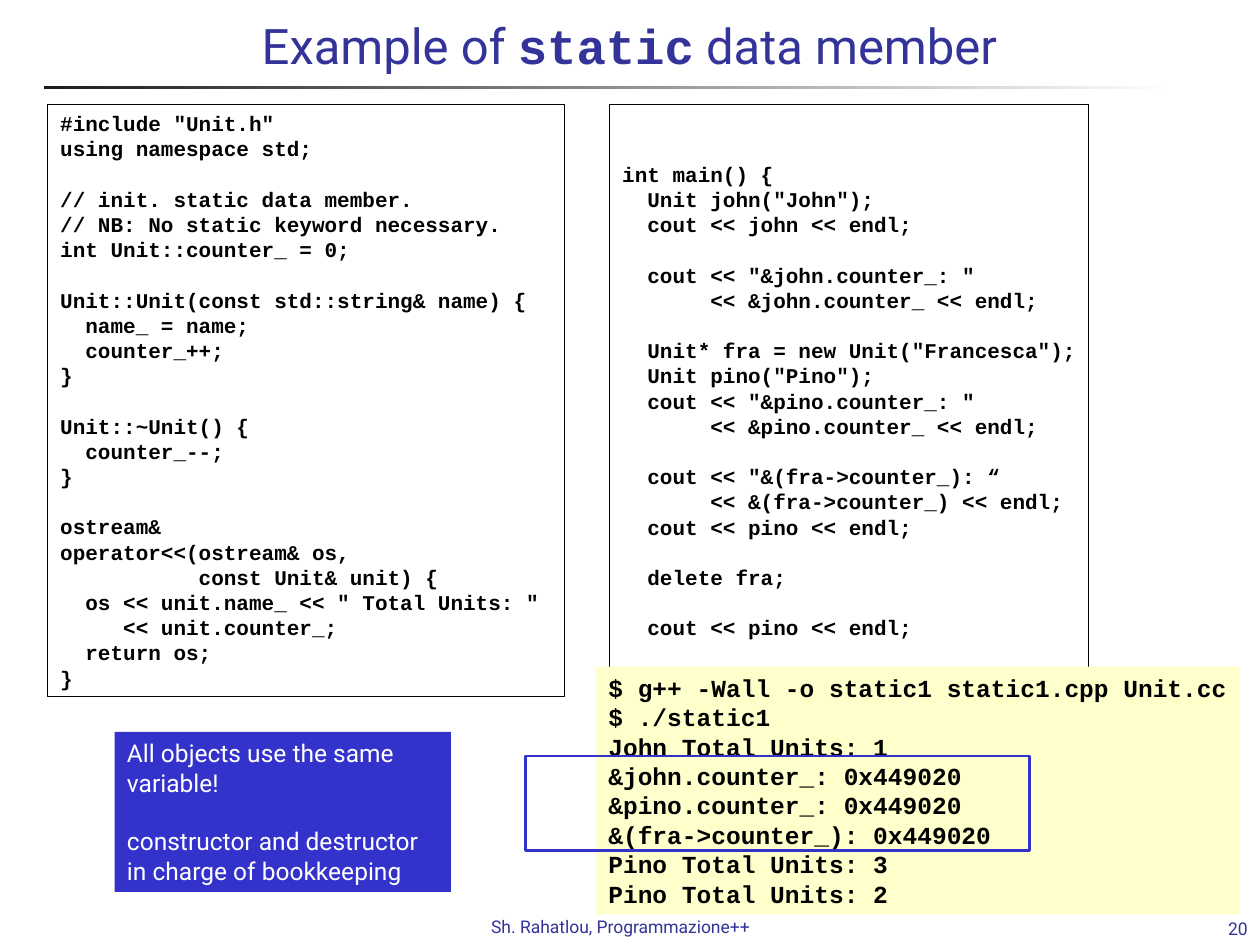
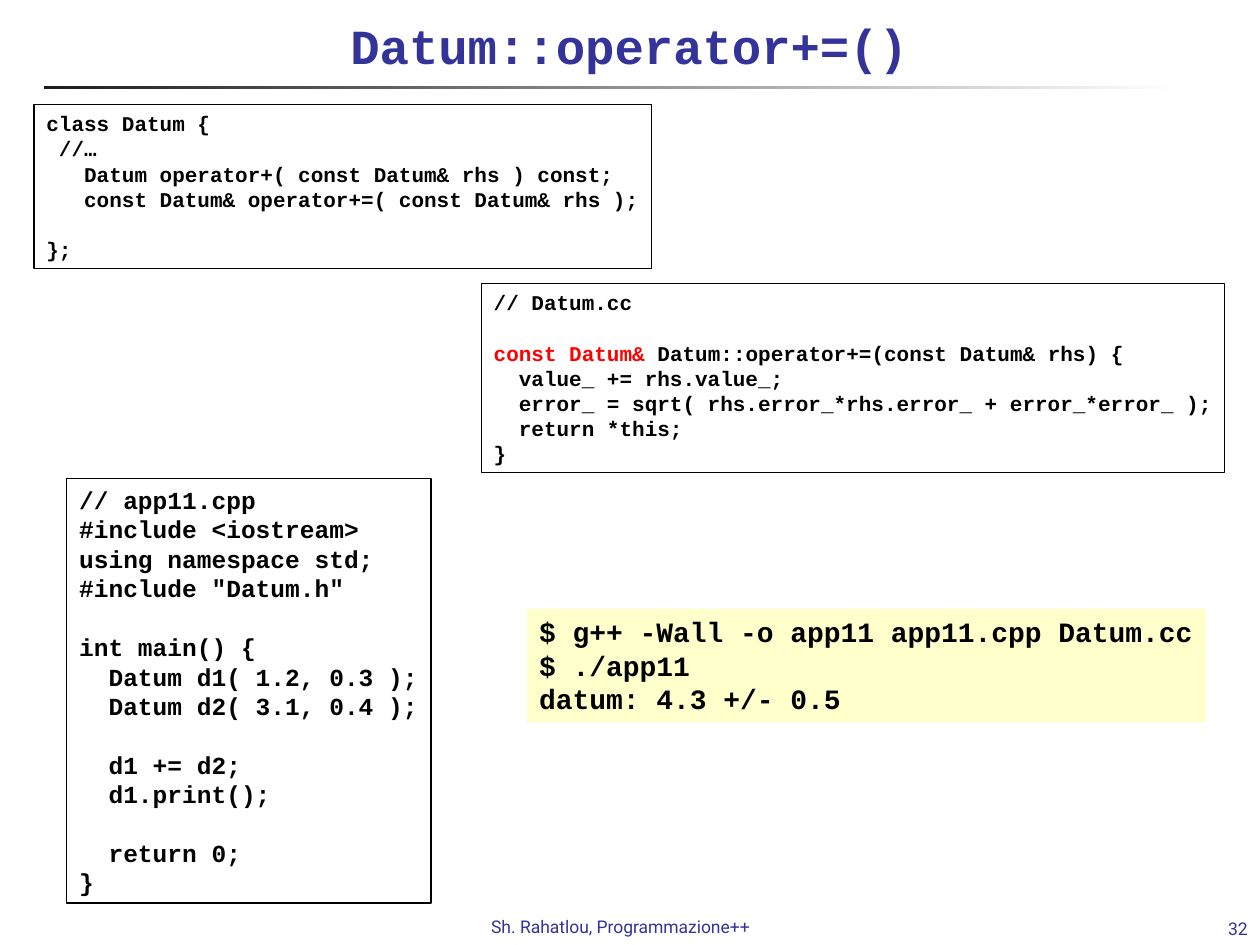
from pptx import Presentation
from pptx.dml.color import RGBColor
from pptx.enum.shapes import MSO_SHAPE as Shape
from pptx.enum.text import MSO_ANCHOR as Anchor, PP_ALIGN as Align
from pptx.util import Inches, Pt

COLORS = {
    "title": "333399", "ink": "000000", "paper": "FFFFFF", "accent": "3333CC",
    "console": "FFFFCC", "alert": "FF0000", "rule": "1C1C1C",
}
CODE, SANS = "Courier New", "Roboto"
FOOTER = "Sh. Rahatlou, Programmazione++"
LINE_PITCH = 1.2  # line height as a multiple of the text size

# Content: code listings
UNIT_CC = """#include "Unit.h"
using namespace std;

// init. static data member.
// NB: No static keyword necessary.
int Unit::counter_ = 0;

Unit::Unit(const std::string& name) {
  name_ = name;
  counter_++;
}

Unit::~Unit() {
  counter_--;
}

ostream&
operator<<(ostream& os,
           const Unit& unit) {
  os << unit.name_ << " Total Units: "
     << unit.counter_;
  return os;
}"""

UNIT_MAIN = """int main() {
  Unit john("John");
  cout << john << endl;

  cout << "&john.counter_: "
       << &john.counter_ << endl;

  Unit* fra = new Unit("Francesca");
  Unit pino("Pino");
  cout << "&pino.counter_: "
       << &pino.counter_ << endl;

  cout << "&(fra->counter_): “
       << &(fra->counter_) << endl;
  cout << pino << endl;

  delete fra;

  cout << pino << endl;

  return 0;
}"""

UNIT_OUTPUT = """$ g++ -Wall -o static1 static1.cpp Unit.cc
$ ./static1
John Total Units: 1
&john.counter_: 0x449020
&pino.counter_: 0x449020
&(fra->counter_): 0x449020
Pino Total Units: 3
Pino Total Units: 2"""

DATUM_H = """class Datum {
 //…
   Datum operator+( const Datum& rhs ) const;
   const Datum& operator+=( const Datum& rhs );

};"""

DATUM_CC = """// Datum.cc

const Datum& Datum::operator+=(const Datum& rhs) {
  value_ += rhs.value_;
  error_ = sqrt( rhs.error_*rhs.error_ + error_*error_ );
  return *this;
}"""

DATUM_MAIN = """// app11.cpp
#include <iostream>
using namespace std;
#include "Datum.h"

int main() {
  Datum d1( 1.2, 0.3 );
  Datum d2( 3.1, 0.4 );

  d1 += d2;
  d1.print();

  return 0;
}"""

DATUM_OUTPUT = """$ g++ -Wall -o app11 app11.cpp Datum.cc
$ ./app11
datum: 4.3 +/- 0.5"""

BOOKKEEPING = ["All objects use the same\vvariable!",
               "constructor and destructor\vin charge of bookkeeping"]

# Content: slides; each panel is code, left, top, width, text size, options
OUTLINED = {"line": "ink"}
CONSOLE = {"fill": "console"}
SLIDES = [
    {
        "number": 20,
        "title": [("Example of ", SANS), ("static", CODE), (" data member", SANS)],
        "panels": [
            (UNIT_CC, 0.38, 0.83, 4.1, 12, OUTLINED),
            (UNIT_MAIN, 4.84, 0.83, 3.8, 12,
             {"line": "ink", "fill": "paper", "skipped_lines": 2}),
            (UNIT_OUTPUT, 4.73, 5.29, 5.11, 14, CONSOLE),
        ],
        "note": (BOOKKEEPING, (0.91, 5.81, 2.67, 1.27)),
        "same_address_frame": (4.17, 6, 4, 0.75),
    },
    {
        "number": 32,
        "title": [("Datum::operator+=()", CODE)],
        "panels": [
            (DATUM_H, 0.27, 0.83, 4.9, 12, OUTLINED),
            (DATUM_CC, 3.82, 2.25, 5.9, 12, {"line": "ink", "red": "const Datum&"}),
            (DATUM_OUTPUT, 4.18, 4.83, 5.39, 16, CONSOLE),
            (DATUM_MAIN, 0.53, 3.8, 2.89, 14, OUTLINED),
        ],
    },
]


def rgb(name):
    return RGBColor.from_string(COLORS[name])


def add_box(slide, at, fill=None, line=None, weight=0.75):
    box = slide.shapes.add_shape(Shape.RECTANGLE, *map(Inches, at))
    box.shadow.inherit = False
    if fill:
        box.fill.solid()
        box.fill.fore_color.rgb = rgb(fill)
    else:
        box.fill.background()
    if line:
        box.line.color.rgb = rgb(line)
        box.line.width = Pt(weight)
    else:
        box.line.fill.background()
    return box


def prepare_frame(shape, **changes):
    frame = shape.text_frame
    settings = {"word_wrap": True, "vertical_anchor": Anchor.TOP,
                "margin_left": Inches(0.1), "margin_right": 0,
                "margin_top": Inches(0.05), "margin_bottom": Inches(0.05)}
    for name, value in {**settings, **changes}.items():
        setattr(frame, name, value)
    return frame


def style_run(run, size, face, color):
    for name, value in {"size": Pt(size), "name": face, "bold": face == CODE}.items():
        setattr(run.font, name, value)
    run.font.color.rgb = rgb(color)


def add_paragraphs(frame, lines, size):
    """Yield one evenly spaced paragraph for each line."""
    for index, line in enumerate(lines):
        paragraph = frame.add_paragraph() if index else frame.paragraphs[0]
        paragraph.alignment = Align.LEFT
        paragraph.line_spacing = Pt(size * LINE_PITCH)
        yield paragraph, line


def add_panel(slide, code, left, top, width, size, options):
    lines = code.split("\n")
    skipped = options.get("skipped_lines", 0)
    pitch = size * LINE_PITCH / 72
    height = (len(lines) + skipped) * pitch + 0.1
    box = add_box(slide, (left, top, width, height),
                  options.get("fill"), options.get("line"))
    frame = prepare_frame(box, margin_top=Inches(0.05 + skipped * pitch))
    red = options.get("red")
    for paragraph, line in add_paragraphs(frame, lines, size):
        parts = [(line, "ink")]
        if red and line.startswith(red):
            parts = [(red, "alert"), (line[len(red):], "ink")]
        for text, color in parts:
            if text:
                run = paragraph.add_run()
                run.text = text
                style_run(run, size, CODE, color)


def add_note(slide, remarks, at, size=14):
    frame = prepare_frame(add_box(slide, at, "accent"))
    for paragraph, remark in add_paragraphs(frame, remarks, size):
        paragraph.text = remark
        if remark != remarks[0]:
            paragraph.space_before = Pt(size * LINE_PITCH)
        for run in paragraph.runs:
            style_run(run, size, SANS, "paper")


def add_label(slide, at, parts, size, align, **changes):
    frame = prepare_frame(slide.shapes.add_textbox(*map(Inches, at)), **changes)
    paragraph = frame.paragraphs[0]
    paragraph.alignment = align
    for text, face in parts:
        run = paragraph.add_run()
        run.text = text
        style_run(run, size, face, "title")


def add_common_parts(slide, title, number):
    # Fading rule under the title
    rule = add_box(slide, (0.35, 0.68, 9, 0.03), "rule")
    rule.fill.gradient()
    rule.fill.gradient_angle = 0
    for stop, (position, color) in zip(rule.fill.gradient_stops,
                                       [(0, "rule"), (1, "paper")]):
        stop.position = position
        stop.color.rgb = rgb(color)
    # Footer, page number and title
    add_label(slide, (3.8, 7.22, 2.37, 0.27), [(FOOTER, SANS)], 10, Align.LEFT)
    add_label(slide, (8.92, 7.25, 1.08, 0.25), [(str(number), SANS)], 10, Align.RIGHT,
              vertical_anchor=Anchor.BOTTOM, margin_right=Inches(0.1))
    add_label(slide, (0.58, 0.02, 8.83, 0.67), title, 28, Align.CENTER,
              vertical_anchor=Anchor.MIDDLE, margin_right=Inches(0.1))


def main():
    deck = Presentation()
    deck.slide_width, deck.slide_height = Inches(10), Inches(7.5)
    for content in SLIDES:
        slide = deck.slides.add_slide(deck.slide_layouts[6])
        add_common_parts(slide, content["title"], content["number"])
        for panel in content["panels"]:
            add_panel(slide, *panel)
        if "note" in content:
            add_note(slide, *content["note"])
        if "same_address_frame" in content:
            add_box(slide, content["same_address_frame"], line="accent", weight=1.5)
    deck.save("out.pptx")


if __name__ == "__main__":
    main()
